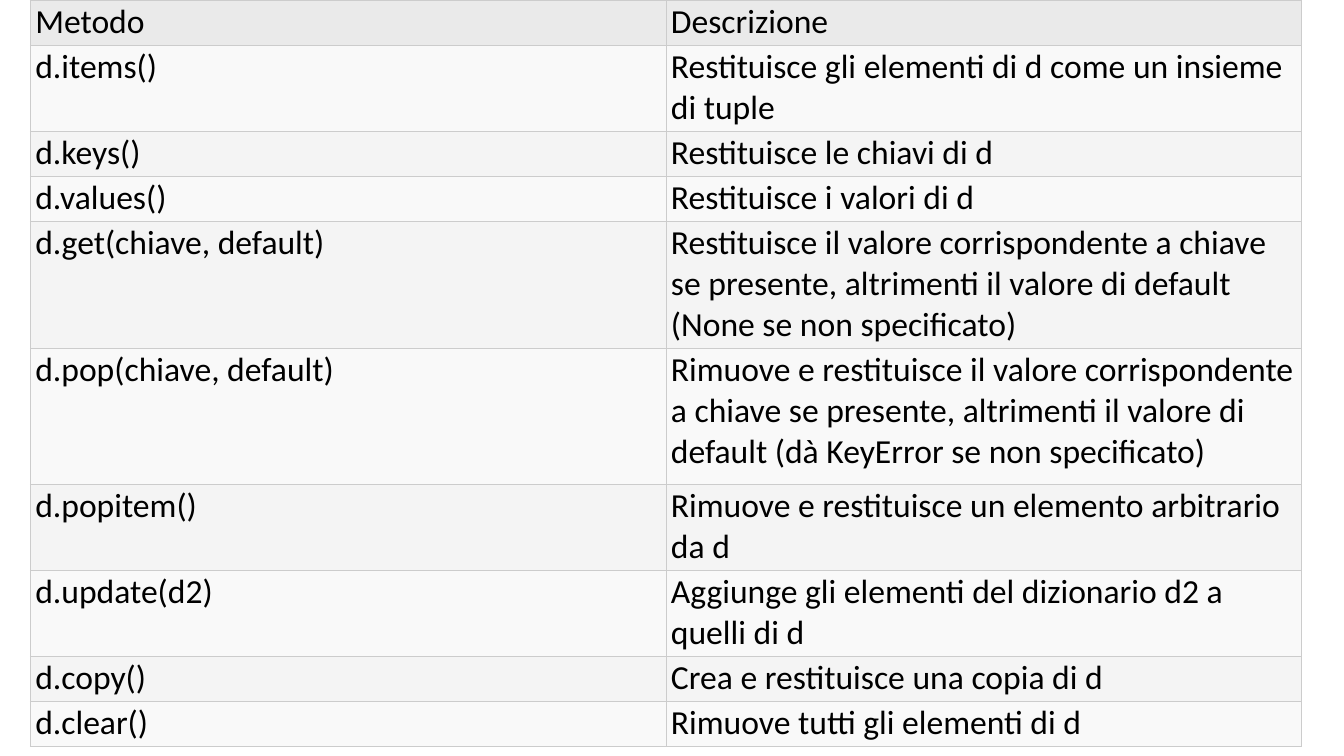
from lxml import etree
from pptx import Presentation
from pptx.dml.color import RGBColor
from pptx.enum.text import MSO_ANCHOR
from pptx.oxml.ns import qn
from pptx.util import Inches, Pt

TOP, MIDDLE = MSO_ANCHOR.TOP, MSO_ANCHOR.MIDDLE
FONT = "Calibri"
COLORS = {
    "text": "000000",
    "header": "EAEAEA",
    "odd": "F9F9F9",
    "even": "F4F4F4",
    "border": "CCCCCC",
}

# Row height in inches, method, description
METHODS = [
    (0.25, "Metodo", "Descrizione"),
    (0.61, "d.items()", "Restituisce gli elementi di d come un insieme di tuple"),
    (0.43, "d.keys()", "Restituisce le chiavi di d"),
    (0.43, "d.values()", "Restituisce i valori di d"),
    (1.17, "d.get(chiave, default)",
     "Restituisce il valore corrispondente a chiave se presente, "
     "altrimenti il valore di default (None se non specificato)"),
    (1.35, "d.pop(chiave, default)",
     "Rimuove e restituisce il valore corrispondente a chiave se presente, "
     "altrimenti il valore di default (dà KeyError se non specificato)"),
    (0.61, "d.popitem()", "Rimuove e restituisce un elemento arbitrario da d"),
    (0.61, "d.update(d2)", "Aggiunge gli elementi del dizionario d2 a quelli di d"),
    (0.43, "d.copy()", "Crea e restituisce una copia di d"),
    (0.43, "d.clear()", "Rimuove tutti gli elementi di d"),
]


def color(name):
    return RGBColor.from_string(COLORS[name])


def write_text(frame, text, size=24, font=FONT, ink="text"):
    span = frame.paragraphs[0].add_run()
    span.text = text
    span.font.size = Pt(size)
    span.font.name = font
    span.font.bold = False
    span.font.color.rgb = color(ink)


def add_borders(cell, width=0.6):
    properties = cell._tc.get_or_add_tcPr()
    # Border lines come before the fill in the cell properties
    for position, side in enumerate(("a:lnL", "a:lnR", "a:lnT", "a:lnB")):
        line = etree.Element(qn(side), w=str(Pt(width)))
        fill = etree.SubElement(line, qn("a:solidFill"))
        etree.SubElement(fill, qn("a:srgbClr"), val=COLORS["border"])
        properties.insert(position, line)


def format_cell(cell, fill, anchor):
    cell.margin_left = cell.margin_right = Inches(0.05)
    cell.margin_top = cell.margin_bottom = Inches(0.02)
    cell.vertical_anchor = anchor
    cell.fill.solid()
    cell.fill.fore_color.rgb = color(fill)
    add_borders(cell)


def add_method_table(page, left, top, width):
    height = sum(row[0] for row in METHODS)
    table = page.shapes.add_table(
        len(METHODS), 2, Inches(left), Inches(top), Inches(width), Inches(height)
    ).table
    for index, (row_height, *texts) in enumerate(METHODS):
        table.rows[index].height = Inches(row_height)
        fill = "header" if index == 0 else "odd" if index % 2 else "even"
        for column, text in enumerate(texts):
            cell = table.cell(index, column)
            write_text(cell.text_frame, text)
            format_cell(cell, fill, TOP if index else MIDDLE)


def main():
    deck = Presentation()
    deck.slide_width, deck.slide_height = Inches(13.33), Inches(7.5)
    page = deck.slides.add_slide(deck.slide_layouts[6])
    # Dictionary methods
    add_method_table(page, left=0.3, top=0, width=12.61)
    deck.save("out.pptx")


if __name__ == "__main__":
    main()
